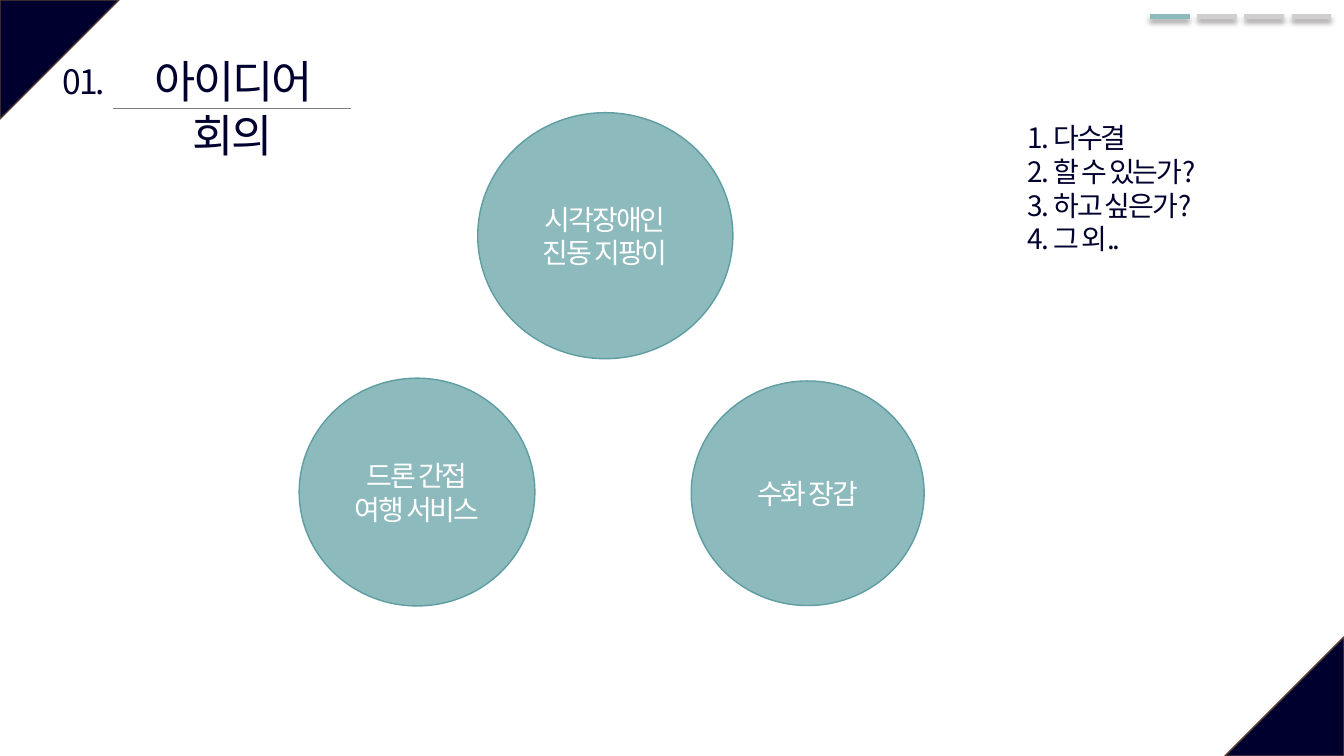
"""Build the idea meeting slide with three candidate ideas and the selection criteria."""
from lxml.etree import SubElement
from pptx import Presentation
from pptx.dml.color import RGBColor
from pptx.enum.shapes import MSO_CONNECTOR as Connector, MSO_SHAPE as Shape
from pptx.enum.text import MSO_ANCHOR as Anchor, MSO_AUTO_SIZE as AutoSize, PP_ALIGN as Align
from pptx.oxml.ns import qn
from pptx.util import Cm, Pt

NAVY = RGBColor(0x00, 0x00, 0x2F)
BROWN = RGBColor(0x5B, 0x3F, 0x33)
TEAL = RGBColor(0x8D, 0xBA, 0xBD)
DARK_TEAL = RGBColor(0x5E, 0x9D, 0xA2)
GRAY = RGBColor(0x80, 0x80, 0x80)
LIGHT_GRAY = RGBColor(0xD0, 0xCE, 0xCE)
WHITE = RGBColor(0xFF, 0xFF, 0xFF)
FONT = "Noto Sans CJK KR"


def write(shape, lines, size, color, align, **frame_format):
    frame = shape.text_frame
    frame.text = "\n".join(lines)
    for key, value in frame_format.items():
        setattr(frame, key, value)
    for paragraph in frame.paragraphs:
        paragraph.alignment = align
        paragraph.space_before = Pt(0)
        font = paragraph.runs[0].font
        for key, value in {"size": Pt(size), "name": FONT}.items():
            setattr(font, key, value)
        font.color.rgb = color
        properties = paragraph.runs[0]._r.get_or_add_rPr()
        properties.set("spc", "-150")
        SubElement(properties, qn("a:ea"), typeface=FONT)


def draw_line(left, top, length, color, width):
    line = slide.shapes.add_connector(
        Connector.STRAIGHT, Cm(left), Cm(top), Cm(left + length), Cm(top))
    line.line.color.rgb = color
    line.line.width = Pt(width)
    return SubElement(line._element.spPr, qn("a:effectLst"))


prs = Presentation()
prs.slide_width, prs.slide_height = Cm(33.87), Cm(19.05)
slide = prs.slides.add_slide(prs.slide_layouts[1])
title, criteria = slide.placeholders

for left, top, rotation in [(0, 0, 90), (30.87, 16.05, 270)]:
    corner = slide.shapes.add_shape(Shape.ISOSCELES_TRIANGLE, Cm(left), Cm(top), Cm(3), Cm(3))
    corner.adjustments[0] = 0
    corner.rotation = rotation
    corner.shadow.inherit = False
    corner.fill.solid()
    corner.fill.fore_color.rgb = NAVY
    corner.line.color.rgb = BROWN
    corner.line.width = Pt(1)

draw_line(2.84, 2.74, 6, GRAY, 0.5)

title.left, title.top, title.width, title.height = Cm(2.54), Cm(1.22), Cm(6.65), Cm(1.63)
write(title, ["아이디어 회의"], 32, NAVY, Align.CENTER, word_wrap=True,
      auto_size=AutoSize.NONE, vertical_anchor=Anchor.TOP,
      margin_left=Cm(0.75), margin_right=Cm(0.75))

number = slide.shapes.add_textbox(Cm(1.27), Cm(1.4), Cm(1.7), Cm(1.27))
write(number, ["01."], 24, NAVY, Align.CENTER, word_wrap=False,
      auto_size=AutoSize.SHAPE_TO_FIT_TEXT)

for step in range(4):
    effects = draw_line(28.98 + step * 1.19, 0.41, 1, LIGHT_GRAY if step else TEAL, 3.5)
    shadow = SubElement(effects, qn("a:outerShdw"), blurRad=str(Pt(4)), dist=str(Pt(3)),
                        dir="5400000", algn="t", rotWithShape="0")
    shade = SubElement(shadow, qn("a:srgbClr"), val="000000")
    SubElement(shade, qn("a:alpha"), val="40000")

ideas = [
    (12.04, 2.84, 6.43, 6.2, ["시각장애인", "진동 지팡이"]),
    (17.42, 9.6, 5.87, 5.66, ["수화 장갑"]),
    (7.54, 9.53, 5.94, 5.74, ["드론 간접", "여행 서비스"]),
]
for left, top, width, height, lines in ideas:
    idea = slide.shapes.add_shape(Shape.OVAL, Cm(left), Cm(top), Cm(width), Cm(height))
    idea.shadow.inherit = False
    idea.fill.solid()
    idea.fill.fore_color.rgb = TEAL
    idea.line.color.rgb = DARK_TEAL
    idea.line.width = Pt(1)
    write(idea, lines, 20, WHITE, Align.CENTER, vertical_anchor=Anchor.MIDDLE)

criteria.left, criteria.top, criteria.width, criteria.height = Cm(25.65), Cm(2.92), Cm(4.8), Cm(3.68)
write(criteria, ["1. 다수결", "2. 할 수 있는가?", "3. 하고 싶은가?", "4. 그 외.."], 20, NAVY,
      Align.LEFT, word_wrap=False, auto_size=AutoSize.SHAPE_TO_FIT_TEXT)
for criterion in criteria.text_frame.paragraphs:
    properties = criterion._p.get_or_add_pPr()
    properties.set("marL", "0")
    properties.set("indent", "0")
    SubElement(properties, qn("a:buNone"))

prs.save("out.pptx")
